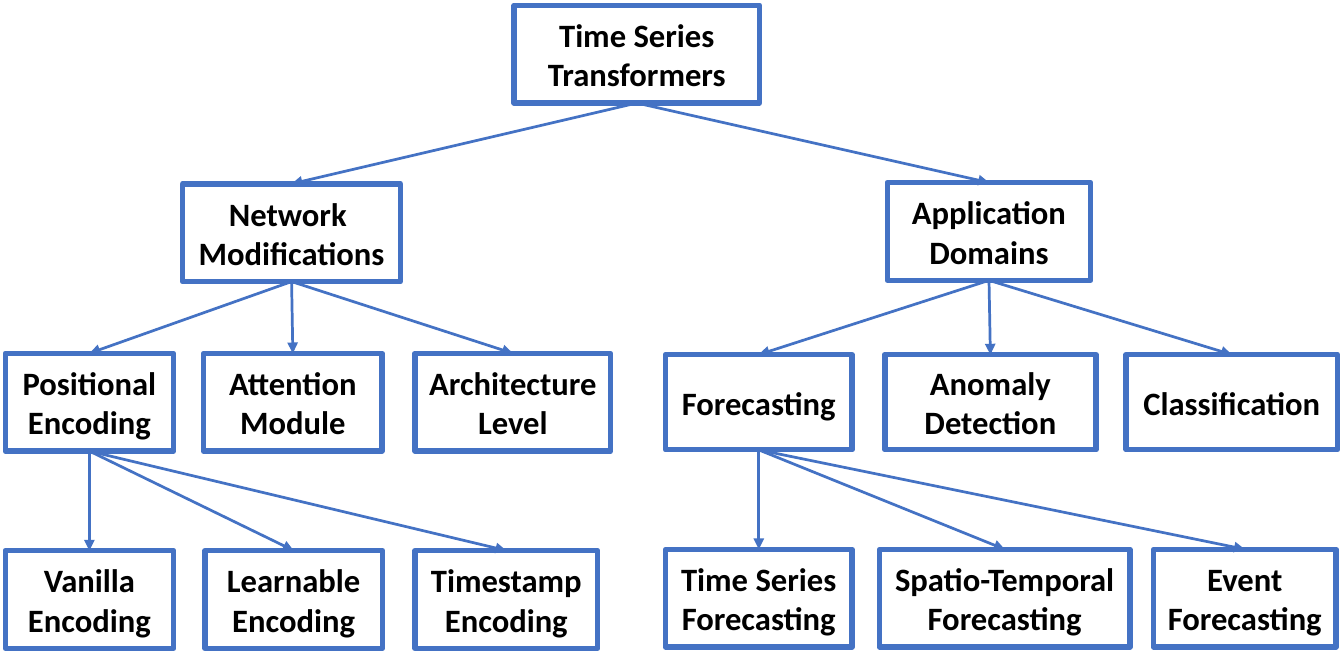
from dataclasses import dataclass

from lxml.etree import SubElement
from pptx import Presentation
from pptx.dml.color import RGBColor
from pptx.enum.shapes import MSO_CONNECTOR, MSO_SHAPE
from pptx.enum.text import MSO_ANCHOR, PP_ALIGN
from pptx.oxml.ns import qn
from pptx.util import Pt


@dataclass(frozen=True)
class Theme:
    line: RGBColor = RGBColor(0x44, 0x72, 0xC4)
    text: RGBColor = RGBColor(0, 0, 0)
    font: str = "Calibri"
    text_size: float = 18
    box_line: float = 3
    arrow_line: float = 1.5
    inset: float = 5


THEME = Theme()
BOX_HEIGHT = 54
TOP, BOTTOM = 0, 2  # connection sites of a rectangle

# Row offsets within a branch
CHILD_BOTTOM = 147.6
LEAF_TOP = 202.5

# Each node: text, offset from the left of its branch, width
NETWORK_BRANCH = {
    "head": ("Network \nModifications", 97.9, 120.2),
    "children": [
        ("Positional Encoding", 0, 92.9),
        ("Attention\nModule", 109.4, 98.6),
        ("Architecture\nLevel", 226.1, 108),
    ],
    "leaves": [
        ("Vanilla Encoding", 0, 92.9),
        ("Learnable Encoding", 110.2, 97.9),
        ("Timestamp Encoding", 226.1, 100.8),
    ],
}
APPLICATION_BRANCH = {
    "head": ("Application\nDomains", 122.4, 112.3),
    "children": [
        ("Forecasting", 0, 103),
        ("Anomaly Detection", 121, 116.6),
        ("Classification", 254.2, 116.6),
    ],
    "leaves": [
        ("Time Series Forecasting", 0, 103),
        ("Spatio-Temporal Forecasting", 118.1, 138.2),
        ("Event Forecasting", 269.3, 100.8),
    ],
}


def add_node(slide, text, left, top, width, height=BOX_HEIGHT):
    """Add an outlined box with centred bold text."""
    shape = slide.shapes.add_shape(
        MSO_SHAPE.RECTANGLE, Pt(left), Pt(top), Pt(width), Pt(height))
    shape.shadow.inherit = False
    shape.fill.background()
    shape.line.color.rgb = THEME.line
    shape.line.width = Pt(THEME.box_line)
    frame = shape.text_frame
    frame.word_wrap = True
    frame.vertical_anchor = MSO_ANCHOR.MIDDLE
    frame.margin_left = frame.margin_right = Pt(THEME.inset)
    frame.text = text
    for paragraph in frame.paragraphs:
        paragraph.alignment = PP_ALIGN.CENTER
        for run in paragraph.runs:
            run.font.name = THEME.font
            run.font.size = Pt(THEME.text_size)
            run.font.bold = True
            run.font.color.rgb = THEME.text
    return shape


def add_arrow(slide, parent, child):
    """Join the bottom of the parent to the top of the child."""
    connector = slide.shapes.add_connector(MSO_CONNECTOR.STRAIGHT, 0, 0, 0, 0)
    connector.begin_connect(parent, BOTTOM)
    connector.end_connect(child, TOP)
    connector.line.color.rgb = THEME.line
    connector.line.width = Pt(THEME.arrow_line)
    properties = connector._element.spPr
    SubElement(properties.find(qn("a:ln")), qn("a:tailEnd"), type="triangle")
    SubElement(properties, qn("a:effectLst"))


def add_row(slide, parent, nodes, left, top, height=BOX_HEIGHT):
    """Add a row of boxes with an arrow from the parent to each."""
    row = [add_node(slide, text, left + offset, top, width, height)
           for text, offset, width in nodes]
    for child in row:
        add_arrow(slide, parent, child)
    return row


def add_branch(slide, root, branch, left, top, child_height=BOX_HEIGHT):
    """Add a branch: head, children, and leaves under the first child."""
    head, = add_row(slide, root, [branch["head"]], left, top)
    children = add_row(slide, head, branch["children"], left,
                       top + CHILD_BOTTOM - child_height, child_height)
    add_row(slide, children[0], branch["leaves"], left, top + LEAF_TOP)


def build_tree_slide(presentation):
    slide = presentation.slides.add_slide(presentation.slide_layouts[6])
    # Root
    root = add_node(slide, "Time Series\nTransformers", 283.7, 2.9, 135.4)
    # Two branches
    add_branch(slide, root, NETWORK_BRANCH, 2.9, 101.5)
    add_branch(slide, root, APPLICATION_BRANCH, 367.2, 100.8, child_height=52.6)


presentation = Presentation()
presentation.slide_width = Pt(741.6)
presentation.slide_height = Pt(360)
build_tree_slide(presentation)
presentation.save("out.pptx")
